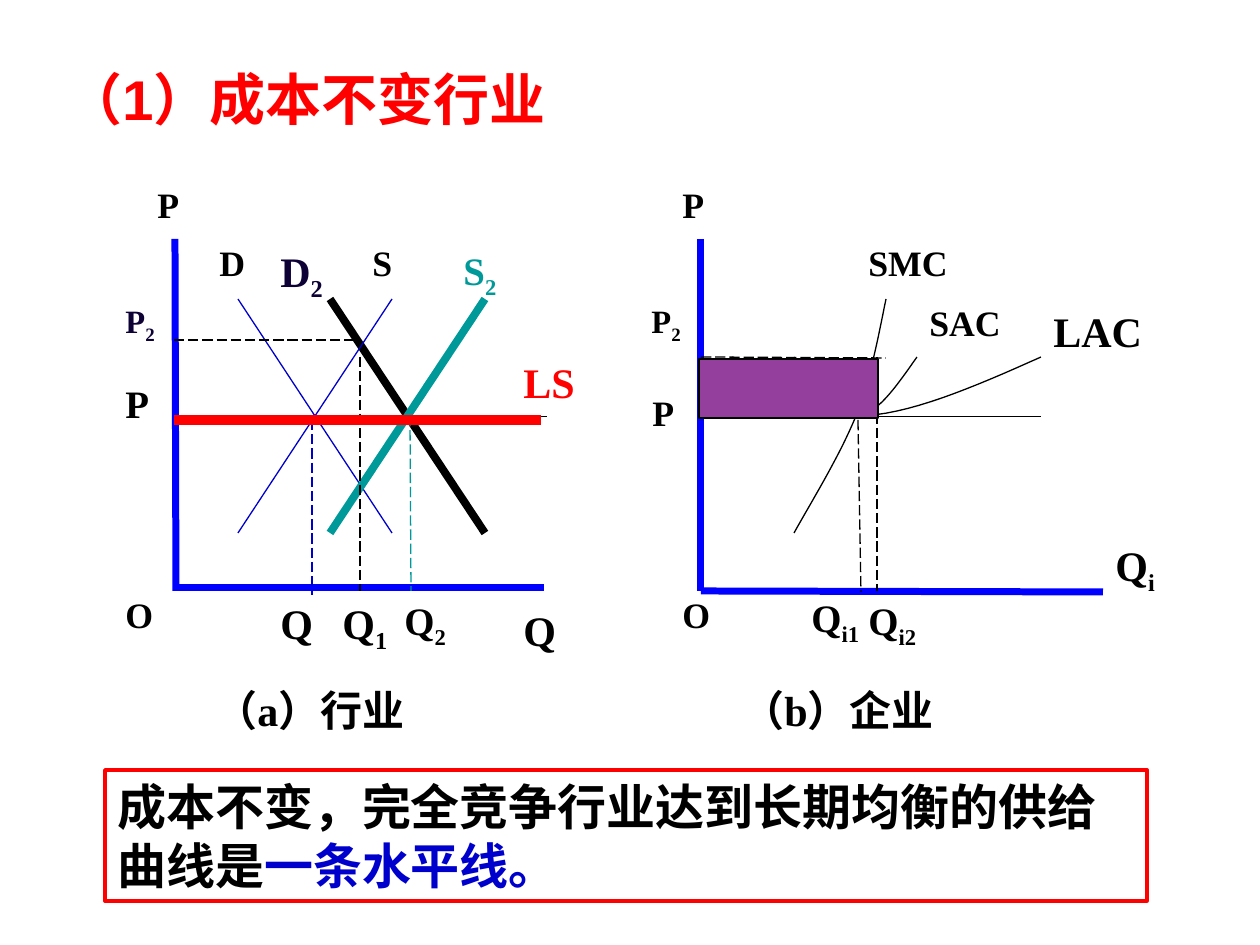
from lxml.etree import SubElement
from pptx import Presentation
from pptx.dml.color import RGBColor
from pptx.enum.dml import MSO_LINE
from pptx.enum.shapes import MSO_CONNECTOR, MSO_SHAPE
from pptx.enum.text import MSO_ANCHOR, PP_ALIGN
from pptx.oxml.ns import qn
from pptx.util import Pt

PX = 914400 / 126
COLORS = {"black": "000000", "red": "FF0000", "axis": "0000FF", "blue": "0000CC",
          "teal": "009999", "navy": "0D0135", "purple": "943F9D"}
SERIF, SANS = "Times New Roman", "Arial"

TITLE = "（1）成本不变行业"
CONCLUSION = [("成本不变，完全竞争行业达到长期均衡的供给曲线是", "black"),
              ("一条水平线。", "blue")]

# x1, y1, x2, y2, colour, width in points, dashed
INDUSTRY_LINES = [
    (175, 239, 176, 591, "axis", 4, False),
    (174, 588, 544, 588, "axis", 4, False),
    (175, 416, 547, 416, "black", 0.25, False),
    (238, 299, 392, 533, "blue", 0.75, False),   # D
    (330, 299, 485, 533, "black", 4.5, False),   # D2
    (238, 533, 392, 299, "blue", 0.75, False),   # S
    (485, 299, 330, 533, "teal", 4.5, False),    # S2
    (360, 357, 360, 591, "black", 0.75, True),
    (312, 420, 312, 595, "blue", 0.75, True),
    (410, 416, 411, 591, "teal", 0.75, True),
    (174, 340, 359, 340, "black", 0.75, True),
]
FIRM_LINES = [
    (701, 239, 701, 591, "axis", 4, False),
    (701, 591, 1103, 592, "axis", 4, False),
    (701, 416, 1041, 416, "black", 0.25, False),
    (701, 357, 886, 358, "black", 0.75, True),
    (858, 420, 861, 592, "black", 0.75, True),
    (877, 357, 877, 591, "black", 0.75, True),
]
LONG_RUN_SUPPLY = (174, 420, 541, 420, "red", 6, False)

# Start point, then three points for each Bezier segment
COST_CURVES = [
    [(732, 357), (767, 387), (804, 416), (856, 416), (907, 416), (974, 387), (1041, 357)],  # LAC
    [(794, 357), (814, 387), (834, 416), (856, 416), (876, 416), (896, 387), (917, 357)],   # SAC
    [(794, 533), (816, 494), (840, 455), (856, 416), (871, 377), (878, 338), (886, 299)],   # SMC
]
PROFIT_AREA = (699, 359, 179, 59)

# text, subscript, left, top, width, height, size, line spacing, colour
LABELS = [
    ("P", "", 145, 181, 62, 59, 20.4, 0.9, "black"),
    ("D", "", 207, 239, 62, 59, 20.4, 0.9, "black"),
    ("D", "2", 268, 239, 93, 71, 24, 1, "navy"),
    ("S", "", 360, 239, 93, 59, 20.4, 0.9, "black"),
    ("S", "2", 451, 241, 93, 69, 22.2, 0.9, "teal"),
    ("P", "2", 113, 299, 93, 59, 18.6, 0.8, "navy"),
    ("P", "", 113, 379, 62, 62, 22.2, 0.9, "black"),
    ("LS", "", 511, 350, 83, 72, 24, 1, "red"),
    ("O", "", 113, 591, 93, 59, 20.4, 0.9, "black"),
    ("Q", "", 268, 591, 62, 76, 24, 1, "black"),
    ("Q", "1", 330, 591, 92, 76, 24, 1, "black"),
    ("Q", "2", 392, 591, 93, 66, 22.2, 0.9, "black"),
    ("Q", "", 511, 598, 62, 74, 24, 1, "black"),
    ("（a）行业", "", 203, 678, 247, 67, 24, 1, "black"),
    ("P", "", 670, 181, 62, 59, 20.4, 0.9, "black"),
    ("P", "2", 639, 299, 93, 59, 18.6, 0.8, "black"),
    ("P", "", 640, 389, 62, 59, 20.4, 0.9, "black"),
    ("SMC", "", 856, 239, 123, 59, 20.4, 0.9, "black"),
    ("SAC", "", 917, 299, 123, 59, 20.4, 0.9, "black"),
    ("LAC", "", 1041, 299, 123, 117, 24, 1, "black"),
    ("O", "", 670, 591, 62, 59, 20.4, 0.9, "black"),
    ("Q", "i1", 799, 588, 100, 66, 22.2, 0.9, "black"),
    ("Q", "i2", 856, 591, 102, 66, 22.2, 0.9, "black"),
    ("Q", "i", 1103, 533, 93, 117, 24, 1, "black"),
    ("（b）企业", "", 730, 678, 285, 67, 24, 1, "black"),
]


def emu(*lengths):
    return [round(v * PX) for v in lengths]


def rgb(name):
    return RGBColor.from_string(COLORS[name])


def set_line(line, color, width):
    line.color.rgb = rgb(color)
    line.width = Pt(width)


def write(s, text, color="black", size=24, font=SERIF, spacing=1, sub="",
          anchor=MSO_ANCHOR.TOP):
    """Write text, a string or (text, colour) pairs, with an optional subscript."""
    tf = s.text_frame
    tf.word_wrap = True
    tf.vertical_anchor = anchor
    p = tf.paragraphs[0]
    p.alignment = PP_ALIGN.LEFT
    p.line_spacing = spacing
    parts = [(text, color)] if isinstance(text, str) else list(text)
    if sub:
        parts.append((sub, color))
    for part, part_color in parts:
        r = p.add_run()
        r.text = part
        r.font.name, r.font.size, r.font.bold = font, Pt(size), True
        r.font.color.rgb = rgb(part_color)
    if sub:
        r.font._element.set("baseline", "-25000")


def add_line(shapes, x1, y1, x2, y2, color, width, dashed):
    c = shapes.add_connector(MSO_CONNECTOR.STRAIGHT, *emu(x1, y1, x2, y2))
    set_line(c.line, color, width)
    if dashed:
        c.line.dash_style = MSO_LINE.LONG_DASH
    SubElement(c._element.spPr, qn("a:effectLst"))


def bezier(a, b, c, d, steps=16):
    for i in range(1, steps + 1):
        t = i / steps
        u = 1 - t
        yield emu(*(u**3 * a[k] + 3 * u * u * t * b[k] + 3 * u * t * t * c[k] + t**3 * d[k]
                    for k in (0, 1)))


def add_curve(shapes, points):
    builder = shapes.build_freeform(*emu(*points[0]))
    for i in range(0, len(points) - 1, 3):
        builder.add_line_segments(bezier(*points[i:i + 4]), close=False)
    s = builder.convert_to_shape()
    s.shadow.inherit = False
    s.fill.background()
    set_line(s.line, "black", 0.75)


def add_rect(shapes, box, fill, line, width):
    s = shapes.add_shape(MSO_SHAPE.RECTANGLE, *emu(*box))
    s.shadow.inherit = False
    if fill:
        s.fill.solid()
        s.fill.fore_color.rgb = rgb(fill)
    else:
        s.fill.background()
    set_line(s.line, line, width)
    return s


def main():
    prs = Presentation()
    prs.slide_width, prs.slide_height = emu(1260, 945)
    shapes = prs.slides.add_slide(prs.slide_layouts[6]).shapes

    # Title
    write(shapes.add_textbox(*emu(54, 35, 1074, 127)), TITLE, color="red", size=32,
          font=SANS, anchor=MSO_ANCHOR.MIDDLE)

    # Both diagrams
    for line in INDUSTRY_LINES + FIRM_LINES:
        add_line(shapes, *line)
    for points in COST_CURVES:
        add_curve(shapes, points)
    for text, sub, *box, size, spacing, color in LABELS:
        write(shapes.add_textbox(*emu(*box)), text, sub=sub, size=size,
              spacing=spacing, color=color)
    add_line(shapes, *LONG_RUN_SUPPLY)
    add_rect(shapes, PROFIT_AREA, "purple", "black", 0.75)

    # Conclusion
    write(add_rect(shapes, (105, 770, 1042, 131), None, "red", 2), CONCLUSION,
          size=28, font=SANS)

    prs.save("out.pptx")


if __name__ == "__main__":
    main()
